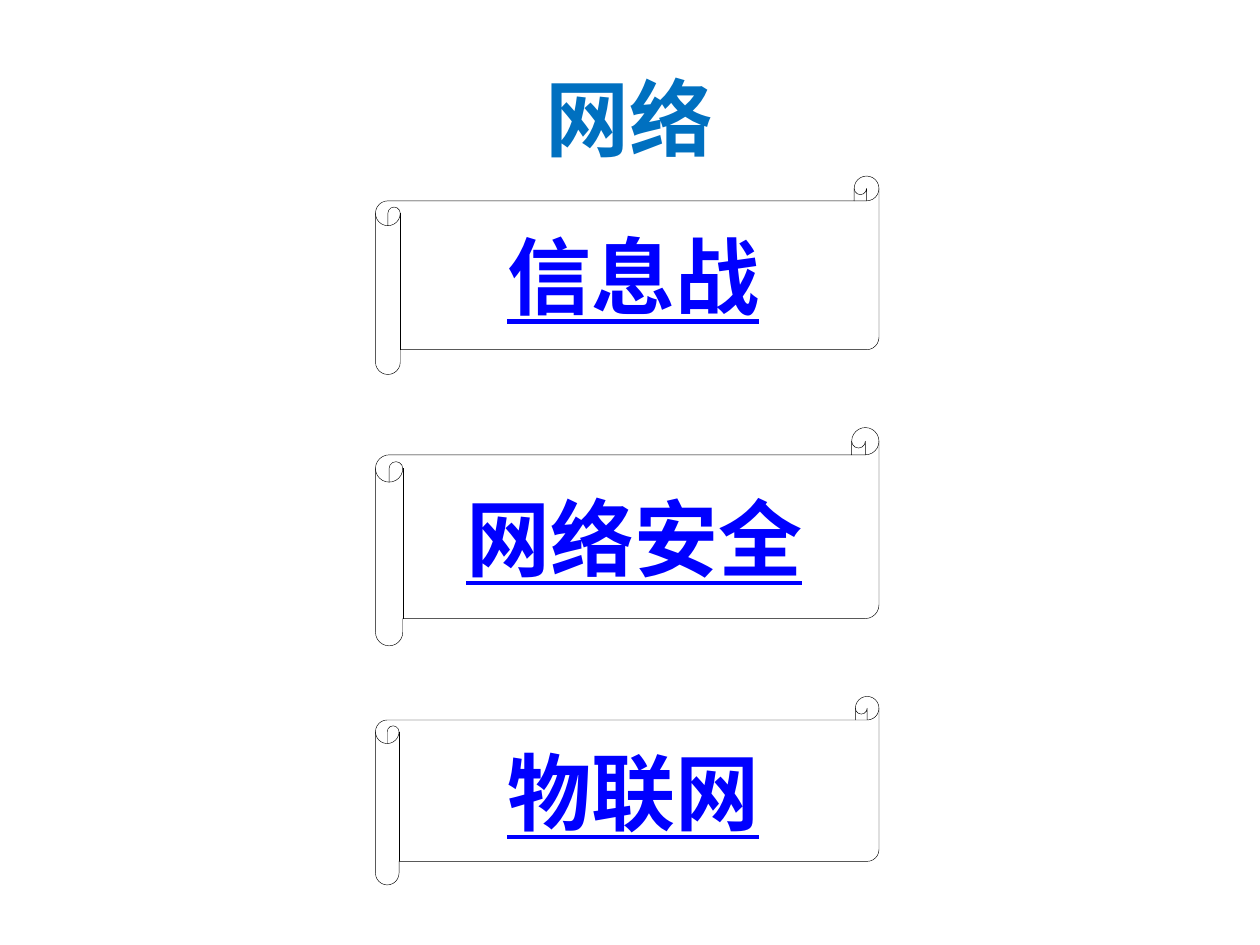
"""Build a title slide with three scroll banners about networks."""
from lxml import etree
from pptx import Presentation
from pptx.dml.color import RGBColor
from pptx.enum.shapes import MSO_SHAPE
from pptx.enum.text import MSO_ANCHOR, PP_ALIGN
from pptx.oxml.ns import qn
from pptx.util import Cm, Pt

SCROLL = MSO_SHAPE.HORIZONTAL_SCROLL
MIDDLE = MSO_ANCHOR.MIDDLE
CENTER = PP_ALIGN.CENTER
FONT = "Noto Sans CJK SC"


def rgb(value):
    return RGBColor.from_string(value)


def write(shape, text, color, underline):
    tf = shape.text_frame
    tf.text = text
    tf.word_wrap = True
    tf.vertical_anchor = MIDDLE
    p = tf.paragraphs[0]
    p.alignment = CENTER
    r = p.runs[0]
    r.font.size = Pt(48)
    r.font.bold = True
    r.font.underline = underline
    r.font.color.rgb = rgb(color)
    r.font.name = FONT
    etree.SubElement(r.font._element, qn("a:ea"), typeface=FONT)


prs = Presentation()
prs.slide_width, prs.slide_height = Cm(25.4), Cm(19.05)
s = prs.slides.add_slide(prs.slide_layouts[5])

title = s.shapes.title
title.left, title.top, title.width, title.height = Cm(1.27), Cm(0.76), Cm(22.86), Cm(3.18)
write(title, "网络", "0070C0", None)

banners = [("信息战", 3.55, 4.0), ("网络安全", 8.62, 4.4), ("物联网", 14.04, 3.8)]
for text, top, height in banners:
    banner = s.shapes.add_shape(SCROLL, Cm(7.57), Cm(top), Cm(10.15), Cm(height))
    banner.shadow.inherit = False
    banner.fill.background()
    banner.line.color.rgb = rgb("000000")
    banner.line.width = Pt(0.25)
    write(banner, text, "0000FF", True)

prs.save("out.pptx")
